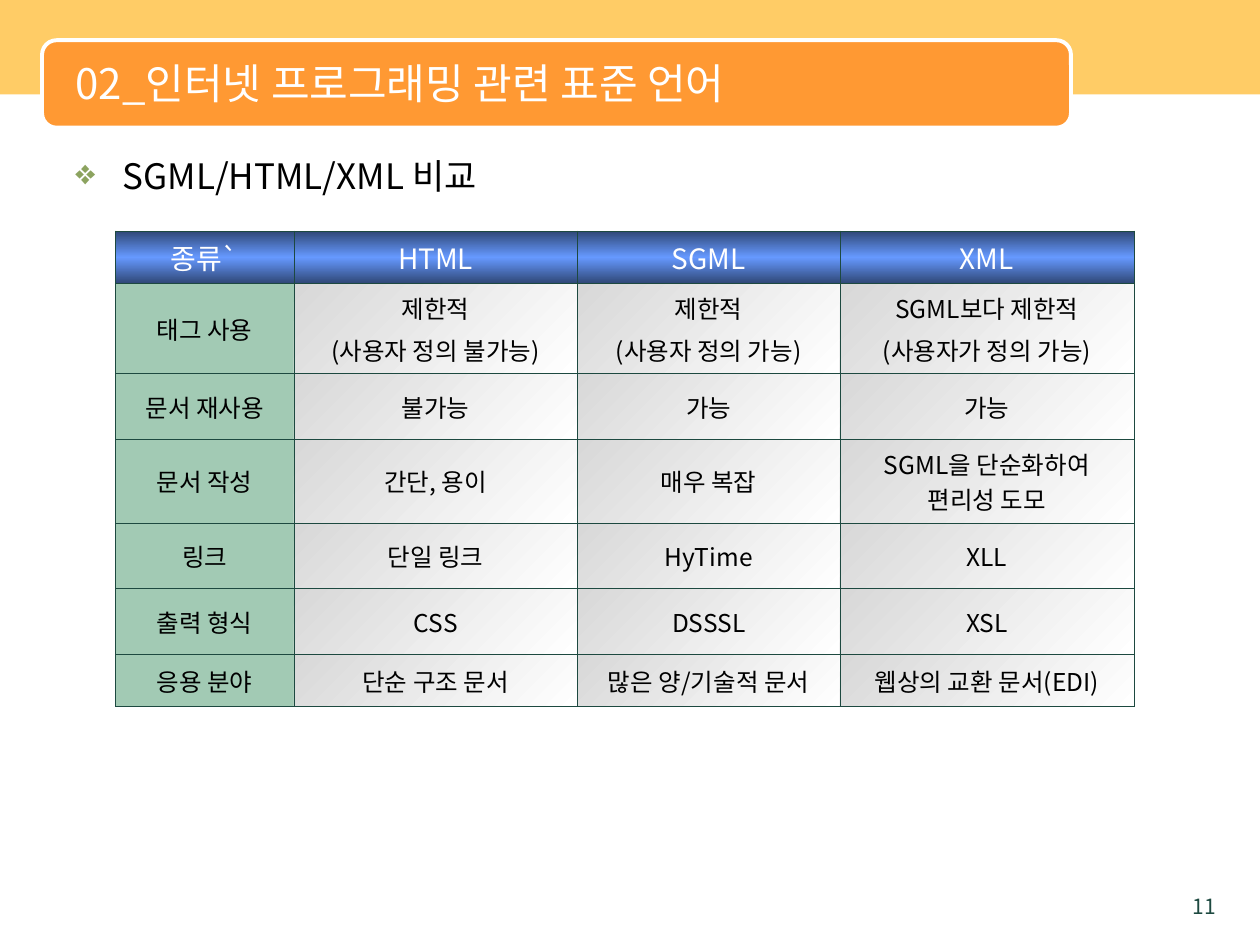
from lxml import etree
from pptx import Presentation
from pptx.dml.color import RGBColor
from pptx.enum.shapes import MSO_SHAPE
from pptx.enum.text import MSO_ANCHOR, MSO_AUTO_SIZE, PP_ALIGN
from pptx.oxml.ns import qn
from pptx.util import Pt

RECT, ROUNDED = MSO_SHAPE.RECTANGLE, MSO_SHAPE.ROUNDED_RECTANGLE
LEFT, CENTER, RIGHT = PP_ALIGN.LEFT, PP_ALIGN.CENTER, PP_ALIGN.RIGHT
MIDDLE = MSO_ANCHOR.MIDDLE
NO_AUTOFIT = MSO_AUTO_SIZE.NONE
TITLE_ONLY = 5

FONT = "Noto Sans CJK KR"
WHITE = RGBColor(0xFF, 0xFF, 0xFF)
BLACK = RGBColor(0, 0, 0)
YELLOW = RGBColor(0xFF, 0xCC, 0x66)
ORANGE = RGBColor(0xFF, 0x99, 0x33)
DARK_GREEN = RGBColor(0x1D, 0x49, 0x40)
OLIVE = RGBColor(0x8C, 0xA3, 0x5F)
MINT = RGBColor(0xA2, 0xCA, 0xB4)
NAVY = RGBColor(0x2F, 0x47, 0x76)
BLUE = RGBColor(0x66, 0x99, 0xFF)
GREY = RGBColor(0xD8, 0xD8, 0xD8)

COLUMNS = [102, 162, 150, 168]
ROW_HEIGHTS = [30, 51.5, 37.5, 48, 37.5, 37.5, 30]
ROWS = [
    ["종류`", "HTML", "SGML", "XML"],
    ["태그 사용", "제한적\n(사용자 정의 불가능)", "제한적\n(사용자 정의 가능)",
     "SGML보다 제한적\n(사용자가 정의 가능)"],
    ["문서 재사용", "불가능", "가능", "가능"],
    ["문서 작성", "간단, 용이", "매우 복잡", "SGML을 단순화하여 편리성 도모"],
    ["링크", "단일 링크", "HyTime", "XLL"],
    ["출력 형식", "CSS", "DSSSL", "XSL"],
    ["응용 분야", "단순 구조 문서", "많은 양/기술적 문서", "웹상의 교환 문서(EDI)"],
]


def add_child(parent, tag, **attrs):
    return etree.SubElement(parent, qn(tag), {k: str(v) for k, v in attrs.items()})


def write_text(tf, text, size, color=BLACK, align=LEFT, space_before=0):
    """Fill a text frame, one paragraph for each line of the text."""
    for i, line in enumerate(text.split("\n")):
        p = tf.add_paragraph() if i else tf.paragraphs[0]
        p.alignment = align
        if i:
            p.space_before = Pt(space_before)
        r = p.add_run()
        r.text = line
        r.font.size = Pt(size)
        r.font.name = FONT
        r.font.color.rgb = color
        add_child(r.font._element, "a:ea", typeface=FONT)


def add_panel(s, kind, left, top, width, height, fill, line=None):
    sp = s.shapes.add_shape(kind, Pt(left), Pt(top), Pt(width), Pt(height))
    sp.shadow.inherit = False
    sp.fill.solid()
    sp.fill.fore_color.rgb = fill
    if line is None:
        sp.line.fill.background()
    else:
        sp.line.color.rgb = line
        sp.line.width = Pt(2.25)


def add_text(s, text, left, top, width, height, **text_format):
    sp = s.shapes.add_textbox(Pt(left), Pt(top), Pt(width), Pt(height))
    sp.text_frame.word_wrap = True
    write_text(sp.text_frame, text, **text_format)
    return sp


def set_title(s, text):
    title = s.shapes.title
    title.left, title.top, title.width, title.height = Pt(36), Pt(25), Pt(570), Pt(45)
    tf = title.text_frame
    tf.auto_size = NO_AUTOFIT
    tf.vertical_anchor = MIDDLE
    write_text(tf, text, size=24, color=WHITE)
    # The title must lie in front of the banner.
    title.element.getparent().append(title.element)


def add_bullet(p, char, color, indent):
    pPr = p._p.get_or_add_pPr()
    pPr.set("marL", str(Pt(indent)))
    pPr.set("indent", str(-Pt(indent)))
    add_child(add_child(pPr, "a:buClr"), "a:srgbClr", val=color)
    add_child(pPr, "a:buChar", char=char)


def set_borders(cell, color, width):
    tcPr = cell._tc.get_or_add_tcPr()
    for side in ("a:lnL", "a:lnR", "a:lnT", "a:lnB"):
        ln = add_child(tcPr, side, w=Pt(width))
        add_child(add_child(ln, "a:solidFill"), "a:srgbClr", val=color)


def fill_gradient(cell, colors, angle):
    """Fill a cell with evenly spaced colours; the angle runs clockwise."""
    grad = add_child(cell._tc.get_or_add_tcPr(), "a:gradFill", rotWithShape=1)
    stops = add_child(grad, "a:gsLst")
    for i, color in enumerate(colors):
        stop = add_child(stops, "a:gs", pos=100000 * i // (len(colors) - 1))
        add_child(stop, "a:srgbClr", val=color)
    add_child(grad, "a:lin", ang=angle * 60000, scaled=0)


def add_comparison_table(s, left, top):
    frame = s.shapes.add_table(len(ROWS), len(COLUMNS), Pt(left), Pt(top),
                               Pt(sum(COLUMNS)), Pt(sum(ROW_HEIGHTS)))
    table = frame.table
    table.first_row = table.horz_banding = False
    for column, width in zip(table.columns, COLUMNS):
        column.width = Pt(width)
    for row, height in zip(table.rows, ROW_HEIGHTS):
        row.height = Pt(height)
    for i, texts in enumerate(ROWS):
        for j, text in enumerate(texts):
            cell = table.cell(i, j)
            cell.vertical_anchor = MIDDLE
            set_borders(cell, DARK_GREEN, 0.45)
            if i == 0:
                fill_gradient(cell, [NAVY, BLUE, NAVY], 90)
            elif j == 0:
                cell.fill.solid()
                cell.fill.fore_color.rgb = MINT
            else:
                fill_gradient(cell, [GREY, WHITE], 45)
            write_text(cell.text_frame, text, size=14 if i else 16,
                       color=BLACK if i else WHITE, align=CENTER, space_before=3.5)


def main():
    prs = Presentation()
    prs.slide_width, prs.slide_height = Pt(720), Pt(540)
    s = prs.slides.add_slide(prs.slide_layouts[TITLE_ONLY])
    add_panel(s, RECT, 0, 0, 720, 54, YELLOW)
    add_panel(s, ROUNDED, 24, 23, 588, 50, ORANGE, line=WHITE)
    add_text(s, "11", 666, 507, 36, 15, size=12, color=DARK_GREEN, align=RIGHT)
    set_title(s, "02_인터넷 프로그래밍 관련 표준 언어")
    body = add_text(s, "SGML/HTML/XML 비교", 36, 85, 654, 413, size=20)
    add_bullet(body.text_frame.paragraphs[0], "❖", OLIVE, 27)
    add_comparison_table(s, 66, 132)
    prs.save("out.pptx")


if __name__ == "__main__":
    main()
